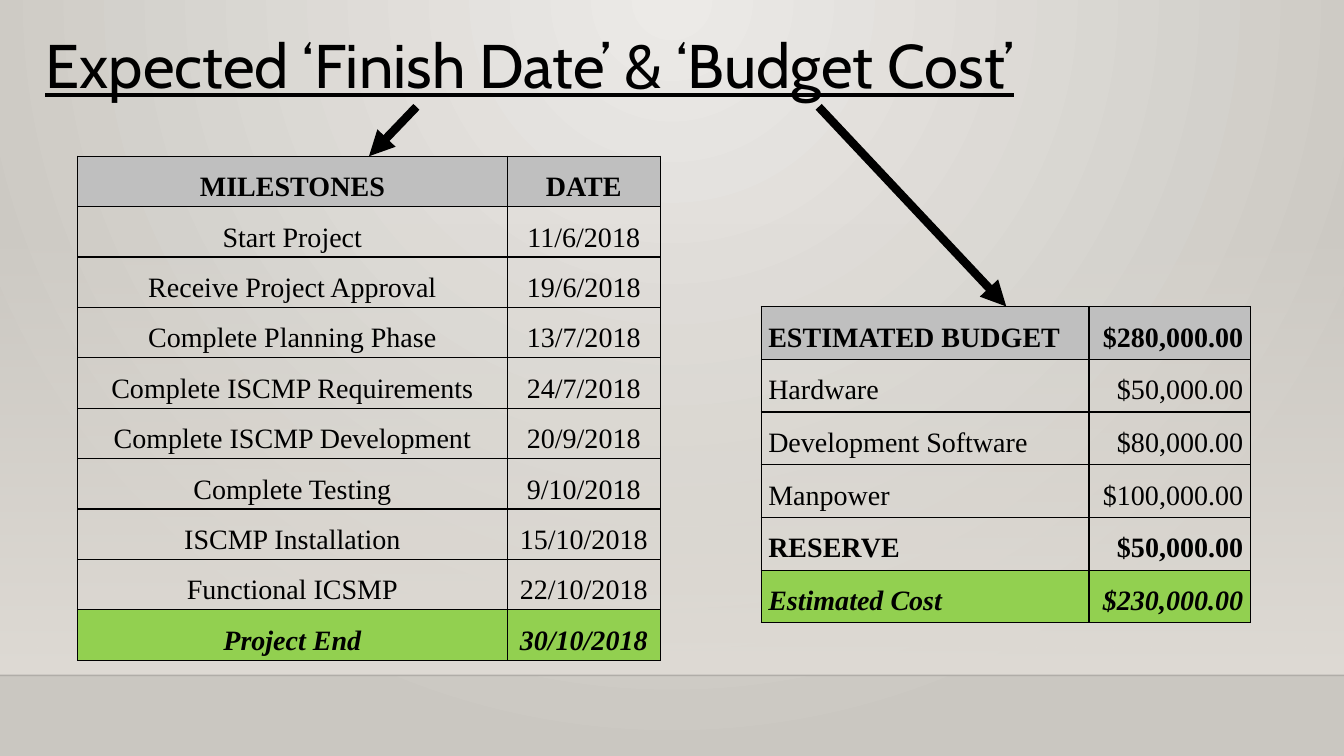
from lxml import etree
from pptx import Presentation
from pptx.dml.color import RGBColor as RGB
from pptx.enum.shapes import MSO_CONNECTOR as CONN, MSO_SHAPE as SHAPE
from pptx.enum.text import MSO_ANCHOR as ANCHOR, PP_ALIGN as ALIGN
from pptx.oxml import parse_xml
from pptx.oxml.ns import nsdecls, qn
from pptx.util import Inches, Pt

W, H = 13.33, 7.5
FLOOR = 6.7
COLORS = {"ink": "000000", "head": "BFBFBF", "total": "92D050",
          "light": "ECEAE7", "dark": "CAC7C1", "wall": "DFDBD5"}


def gradient(old, start, end, alpha, direction):
    old.getparent().replace(old, parse_xml(
        f'<a:gradFill {nsdecls("a")} rotWithShape="1"><a:gsLst>'
        f'<a:gs pos="0"><a:srgbClr val="{start}"><a:alpha val="{alpha}"/></a:srgbClr></a:gs>'
        f'<a:gs pos="100000"><a:srgbClr val="{end}"/></a:gs>'
        f'</a:gsLst>{direction}</a:gradFill>'))


def line(s, x1, y1, x2, y2, width):
    c = s.shapes.add_connector(CONN.STRAIGHT, Inches(x1), Inches(y1), Inches(x2), Inches(y2))
    c.line.color.rgb = RGB.from_string(COLORS["ink"])
    c.line.width = Pt(width)
    etree.SubElement(c._element.spPr, qn("a:effectLst"))
    return c.line._get_or_add_ln()


prs = Presentation()
prs.slide_width, prs.slide_height = Inches(W), Inches(H)
s = prs.slides.add_slide(prs.slide_layouts[5])

bg = s.background.fill
bg.gradient()
gradient(s._element.find(".//" + qn("a:gradFill")), COLORS["light"], COLORS["dark"], 100000,
         '<a:path path="circle"><a:fillToRect l="43000" t="0" r="43000" b="100000"/></a:path>')

wall = s.shapes.add_shape(SHAPE.RECTANGLE, 0, Inches(2.21), Inches(W), Inches(FLOOR - 2.21))
wall.shadow.inherit = False
wall.line.fill.background()
wall.fill.gradient()
gradient(wall._element.spPr.find(qn("a:gradFill")), COLORS["wall"], COLORS["wall"], 0,
         '<a:lin ang="5400000" scaled="0"/>')

edge = line(s, 0, FLOOR, W, FLOOR, 1)
etree.SubElement(edge.find(".//" + qn("a:srgbClr")), qn("a:alpha"), val="20000")

title = s.shapes.title
title.left, title.top, title.width, title.height = map(Inches, (0.35, 0.22, 11.16, 0.84))
tf = title.text_frame
tf.text = "Expected ‘Finish Date’ & ‘Budget Cost’"
tf.word_wrap = True
tf.vertical_anchor = ANCHOR.TOP
p = tf.paragraphs[0]
p.alignment = ALIGN.LEFT
for key, value in {"name": "Cabin", "size": Pt(44), "underline": True, "bold": False}.items():
    setattr(p.runs[0].font, key, value)
p.runs[0].font.color.rgb = RGB.from_string(COLORS["ink"])

budget = [
    ("ESTIMATED BUDGET", "$280,000.00"),
    ("Hardware", "$50,000.00"),
    ("Development Software", "$80,000.00"),
    ("Manpower", "$100,000.00"),
    ("RESERVE", "$50,000.00"),
    ("Estimated Cost", "$230,000.00"),
]
milestones = [
    ("MILESTONES", "DATE"),
    ("Start Project", "11/6/2018"),
    ("Receive Project Approval", "19/6/2018"),
    ("Complete Planning Phase", "13/7/2018"),
    ("Complete ISCMP Requirements", "24/7/2018"),
    ("Complete ISCMP Development", "20/9/2018"),
    ("Complete Testing", "9/10/2018"),
    ("ISCMP Installation", "15/10/2018"),
    ("Functional ICSMP", "22/10/2018"),
    ("Project End", "30/10/2018"),
]
tables = [
    (budget, 7.55, 3.04, (3.25, 1.6), 3.14, (ALIGN.JUSTIFY, ALIGN.RIGHT)),
    (milestones, 0.77, 1.55, (4.26, 1.52), 5, (ALIGN.CENTER, ALIGN.CENTER)),
]
for rows, left, top, widths, height, aligns in tables:
    table = s.shapes.add_table(len(rows), 2, Inches(left), Inches(top),
                               Inches(sum(widths)), Inches(height)).table
    for col, width in zip(table.columns, widths):
        col.width = Inches(width)
    last = len(rows) - 1
    for i, row in enumerate(rows):
        fill = {0: "head", last: "total"}.get(i)
        for j, text in enumerate(row):
            cell = table.cell(i, j)
            cell.margin_left = cell.margin_right = Inches(0.07)
            cell.margin_top = cell.margin_bottom = 0
            for side in ("lnL", "lnR", "lnT", "lnB"):
                cell._tc.get_or_add_tcPr().append(parse_xml(
                    f'<a:{side} {nsdecls("a")} w="{Pt(1)}"><a:solidFill>'
                    f'<a:srgbClr val="{COLORS["ink"]}"/></a:solidFill></a:{side}>'))
            if fill:
                cell.fill.solid()
                cell.fill.fore_color.rgb = RGB.from_string(COLORS[fill])
            else:
                cell.fill.background()
            p = cell.text_frame.paragraphs[0]
            p.alignment, p.line_spacing = aligns[j], 1.5
            r = p.add_run()
            r.text = text
            style = {"name": "Times New Roman", "size": Pt(20),
                     "bold": bool(fill) or row[0] == "RESERVE", "italic": i == last}
            for key, value in style.items():
                setattr(r.font, key, value)
            r.font.color.rgb = RGB.from_string(COLORS["ink"])

for arrow in ((4.13, 1.06, 3.66, 1.55), (8.12, 1.06, 9.98, 3.04)):
    etree.SubElement(line(s, *arrow, 6), qn("a:tailEnd"), type="triangle")

prs.save("out.pptx")
